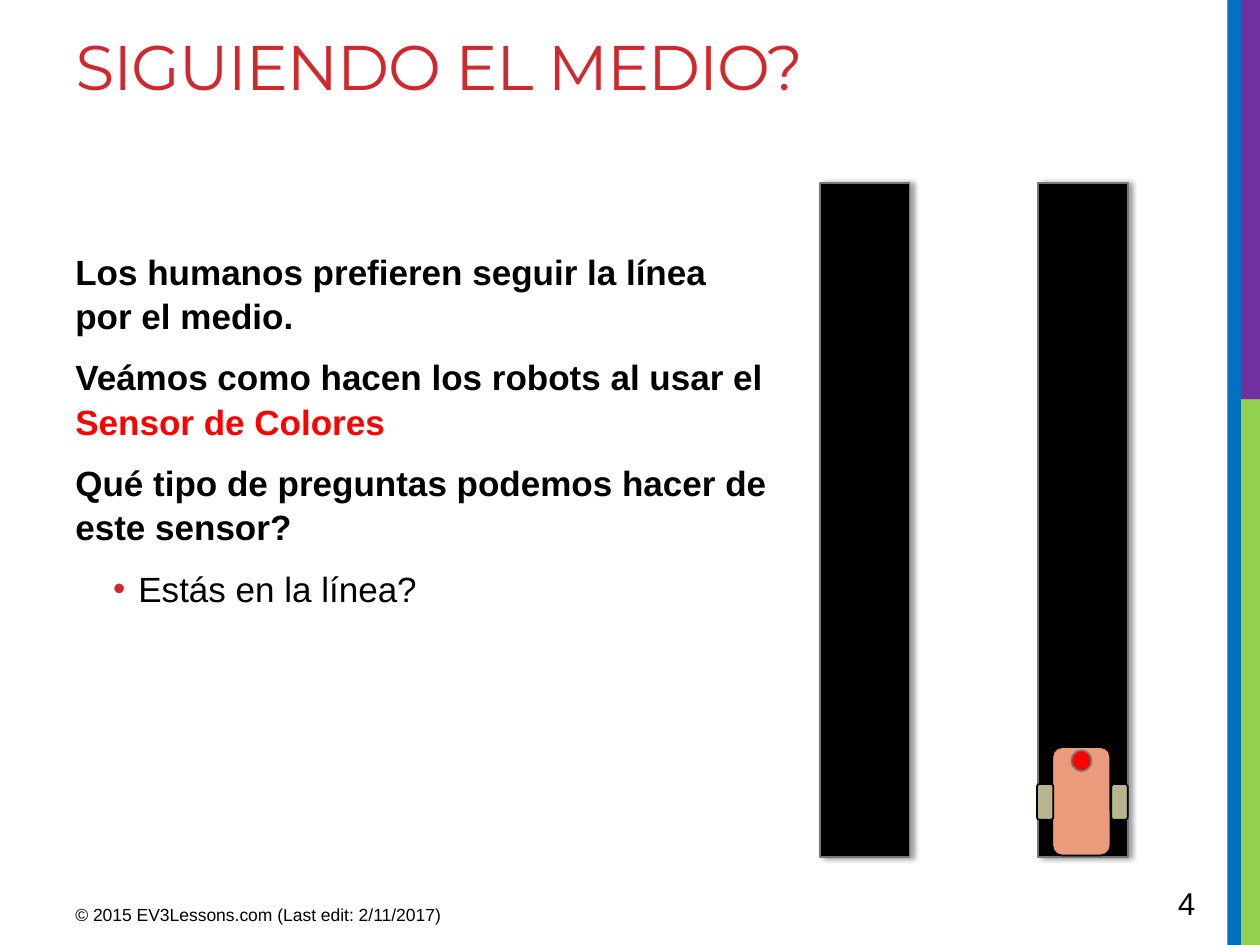
from collections import namedtuple

from lxml.etree import SubElement
from pptx import Presentation
from pptx.dml.color import RGBColor
from pptx.enum.shapes import MSO_SHAPE as Shape
from pptx.enum.text import MSO_ANCHOR as Anchor, PP_ALIGN as Align
from pptx.oxml.ns import qn
from pptx.util import Inches, Pt

Box = namedtuple("Box", "left top width height")

SLIDE = Box(0, 0, 10, 7.5)
BLACK, GREY, RED, ACCENT = "000000", "777777", "FF0000", "D1282E"
BLUE, PURPLE, GREEN = "0070C0", "7030A0", "92D050"
SALMON, KHAKI = "EA9B7C", "B6B590"


def color(value):
    """Turn a hex string into a colour."""
    return RGBColor.from_string(value)


def share(box, left, top, width, height):
    """Return the part of a box given by shares of its size."""
    return Box(box.left + left * box.width, box.top + top * box.height,
               width * box.width, height * box.height)


def inches(box):
    """Convert a box to slide lengths."""
    return [Inches(length) for length in box]


def add_block(shapes, kind, box, fill, line=None):
    """Add a filled preset shape, outlined when a line colour is given."""
    shape = shapes.add_shape(kind, *inches(box))
    shape.shadow.inherit = False
    shape.fill.solid()
    shape.fill.fore_color.rgb = color(fill)
    if line:
        shape.line.color.rgb = color(line)
        shape.line.width = Pt(1)
    else:
        shape.line.fill.background()
    return shape


def add_run(paragraph, text, size, fill, bold=False, font="Arial"):
    """Append a formatted run to a paragraph."""
    run = paragraph.add_run()
    run.text = text
    run.font.name = font
    run.font.size = Pt(size)
    run.font.bold = bold
    run.font.color.rgb = color(fill)
    return run


def add_text_frame(slide, box, anchor=Anchor.MIDDLE):
    """Add a wrapping text box and return its text frame."""
    frame = slide.shapes.add_textbox(*inches(box)).text_frame
    frame.word_wrap = True
    frame.vertical_anchor = anchor
    return frame


def add_bullet(paragraph, margin, indent):
    """Give a paragraph a coloured bullet with a hanging indent."""
    properties = paragraph._p.get_or_add_pPr()
    properties.set("marL", str(Inches(margin)))
    properties.set("indent", str(Inches(indent)))
    bullet_color = SubElement(properties, qn("a:buClr"))
    SubElement(bullet_color, qn("a:srgbClr"), val=ACCENT)
    SubElement(properties, qn("a:buFont"), typeface="Arial")
    SubElement(properties, qn("a:buChar"), char="•")


def add_shadow(shape):
    """Cast a soft shadow to the right of a shape."""
    effects = shape._element.spPr.find(qn("a:effectLst"))
    shadow = SubElement(effects, qn("a:outerShdw"), blurRad=str(Pt(3.1)),
                        dist=str(Pt(1.8)), dir="0", rotWithShape="0")
    shade = SubElement(shadow, qn("a:srgbClr"), val=BLACK)
    SubElement(shade, qn("a:alpha"), val="40000")


def add_side_stripes(slide, box):
    """Draw the coloured bands along the right edge."""
    split = 3.17 / 7.5
    bands = [(GREEN, (0.38, split, 0.62, 1 - split)),
             (PURPLE, (0.38, 0, 0.62, split)),
             (BLUE, (0, 0, 0.42, 1))]
    for fill, part in bands:
        add_block(slide.shapes, Shape.RECTANGLE, share(box, *part), fill)


def add_title(slide, box):
    """Place and format the title placeholder."""
    title = slide.shapes.title
    title.left, title.top, title.width, title.height = inches(box)
    frame = title.text_frame
    frame.vertical_anchor = Anchor.TOP
    paragraph = frame.paragraphs[0]
    paragraph.alignment = Align.LEFT
    run = add_run(paragraph, "SIGUIENDO EL MEDIO?", 36, ACCENT, font="Montserrat")
    run.font._element.set("spc", "-60")


def add_body(slide, box):
    """Write the statements and the bulleted question."""
    statements = [
        [("Los humanos prefieren seguir la línea por el medio.", BLACK)],
        [("Veámos como hacen los robots al usar el ", BLACK),
         ("Sensor de Colores", RED)],
        [("Qué tipo de preguntas podemos hacer de este sensor?", BLACK)],
        [("Estás en la línea?", BLACK)],
    ]
    frame = add_text_frame(slide, box, Anchor.TOP)
    for index, runs in enumerate(statements):
        is_answer = index == len(statements) - 1
        paragraph = frame.paragraphs[0] if index == 0 else frame.add_paragraph()
        paragraph.line_spacing = 1.05
        paragraph.space_before = Pt(4 if index else 0)
        paragraph.space_after = Pt(0 if is_answer else 6)
        if is_answer:
            paragraph.level = 1
            add_bullet(paragraph, 0.5, -0.2)
        for text, fill in runs:
            add_run(paragraph, text, 20, fill, bold=not is_answer)


def add_label(slide, box, text, size):
    """Write one line of footer text."""
    add_run(add_text_frame(slide, box).paragraphs[0], text, size, BLACK)


def add_tracks(slide, box):
    """Draw the two black lines at the sides of a box."""
    width = 0.71 / box.width
    for left in (0, 1 - width):
        track = add_block(slide.shapes, Shape.RECTANGLE,
                          share(box, left, 0, width, 1), BLACK, GREY)
        add_shadow(track)


def add_robot(slide, box):
    """Draw the grouped robot with its wheels and colour sensor."""
    robot = slide.shapes.add_group_shape()
    parts = [(Shape.ROUNDED_RECTANGLE, (0.17, 0, 0.64, 1), SALMON, BLACK),
             (Shape.ROUNDED_RECTANGLE, (0.82, 0.34, 0.18, 0.33), KHAKI, BLACK),
             (Shape.ROUNDED_RECTANGLE, (0, 0.34, 0.18, 0.33), KHAKI, BLACK),
             (Shape.OVAL, (0.38, 0.03, 0.22, 0.19), RED, GREY)]
    for kind, part, fill, line in parts:
        add_block(robot.shapes, kind, share(box, *part), fill, line)


def main():
    """Build and save the slide."""
    presentation = Presentation()
    presentation.slide_width = Inches(SLIDE.width)
    presentation.slide_height = Inches(SLIDE.height)
    slide = presentation.slides.add_slide(presentation.slide_layouts[5])
    add_side_stripes(slide, Box(9.74, 0, 0.26, SLIDE.height))
    add_title(slide, Box(0.5, 0.17, 9.02, 1.5))
    add_body(slide, Box(0.5, 1.92, 5.7, 4.78))
    add_label(slide, Box(0.5, 7.1, 3.75, 0.31),
              "© 2015 EV3Lessons.com (Last edit: 2/11/2017)", 10)
    add_label(slide, Box(9.25, 6.97, 0.69, 0.4), "4", 18)
    add_tracks(slide, Box(6.51, 1.45, 2.44, 5.35))
    add_robot(slide, Box(8.23, 5.93, 0.72, 0.86))
    presentation.save("out.pptx")


if __name__ == "__main__":
    main()
